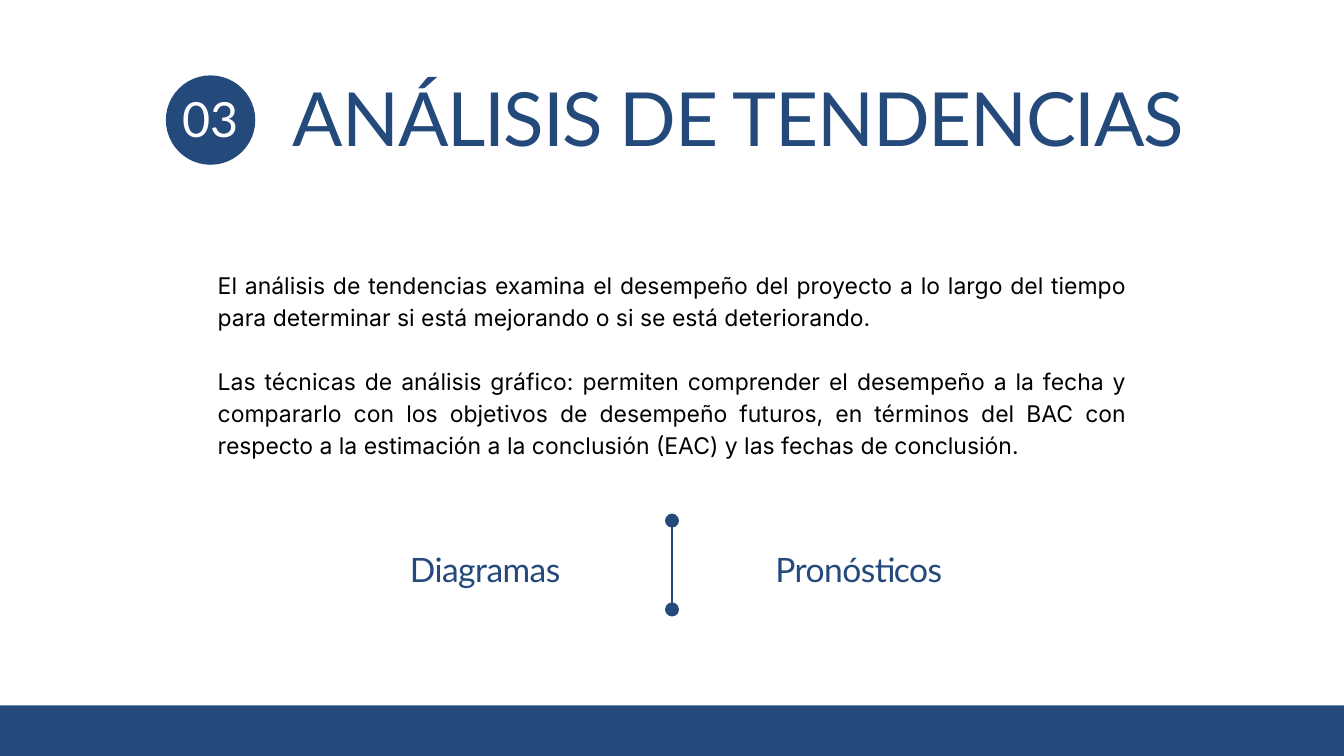
from lxml.etree import SubElement as Sub
from pptx import Presentation
from pptx.dml.color import RGBColor
from pptx.enum.shapes import MSO_CONNECTOR as Link, MSO_SHAPE as Form
from pptx.enum.text import MSO_ANCHOR as Anchor, MSO_AUTO_SIZE as Fit, PP_ALIGN as Align
from pptx.oxml.ns import qn
from pptx.util import Cm, Pt

BLUE, WHITE, BLACK = "24497B", "FFFFFF", "000000"
WIDE, HIGH = 50.8, 28.58
BODY = [
    "El análisis de tendencias examina el desempeño del proyecto a lo largo del tiempo "
    "para determinar si está mejorando o si se está deteriorando.",
    "Las técnicas de análisis gráfico: permiten comprender el desempeño a la fecha y "
    "compararlo con los objetivos de desempeño futuros, en términos del BAC con respecto "
    "a la estimación a la conclusión (EAC) y las fechas de conclusión.",
]


def paint(color, tone):
    color.rgb = RGBColor.from_string(tone)


def place(shape, left, top, width, height):
    shape.left, shape.top = Cm(left), Cm(top)
    shape.width, shape.height = Cm(width), Cm(height)


def write(shape, lines, size, tone, font="Lato", align=Align.CENTER, lead=None, gap=0, track=0):
    """Fill a shape with paragraphs; lead, gap and track are in points."""
    frame = shape.text_frame
    frame.word_wrap, frame.auto_size = True, Fit.NONE
    frame.vertical_anchor = Anchor.TOP
    frame.margin_left = frame.margin_right = frame.margin_top = frame.margin_bottom = 0
    frame.text = "\n".join(lines)
    for i, par in enumerate(frame.paragraphs):
        props = par._p.get_or_add_pPr()
        props.set("marL", "0")
        props.set("indent", "0")
        par.alignment, par.line_spacing = align, Pt(lead or size)
        par.space_before, par.space_after = Pt(gap if i else 0), Pt(0)
        Sub(props, qn("a:buNone"))
        for run in par.runs:
            run.font.name, run.font.size = font, Pt(size)
            paint(run.font.color, tone)
            if track:
                run._r.get_or_add_rPr().set("spc", str(round(track * 100)))


def add_form(slide, kind, *area):
    shape = slide.shapes.add_shape(kind, *map(Cm, area))
    shape.shadow.inherit = False
    shape.fill.solid()
    paint(shape.fill.fore_color, BLUE)
    shape.line.fill.background()
    return shape


def add_badge(slide, text):
    badge = add_form(slide, Form.OVAL, 6.27, 2.85, 3.38, 3.38)
    write(badge, [text], 51.9, WHITE, track=-0.9)
    frame = badge.text_frame
    frame.word_wrap, frame.vertical_anchor = False, Anchor.MIDDLE
    frame.margin_top = Cm(0.25)


def add_label(slide, text, left):
    box = slide.shapes.add_textbox(Cm(left), Cm(21), Cm(9.6), Cm(1.32))
    write(box, [text], 36, BLUE, track=-0.6)


def add_rule(slide, x, top, base):
    """Draw an upright line with a dot at each end."""
    rule = slide.shapes.add_connector(Link.STRAIGHT, Cm(x), Cm(base), Cm(x), Cm(top))
    rule.line.width = Pt(3)
    paint(rule.line.color, BLUE)
    for end in ("headEnd", "tailEnd"):
        Sub(rule.line._get_or_add_ln(), qn("a:" + end), type="oval", w="lg", len="lg")
    Sub(rule._element.spPr, qn("a:effectLst"))


def main():
    deck = Presentation()
    deck.slide_width, deck.slide_height = Cm(WIDE), Cm(HIGH)
    slide = deck.slides.add_slide(deck.slide_layouts[1])
    title, body = slide.placeholders

    place(title, 8.59, 3.28, 38.66, 2.95)
    write(title, ["ANÁLISIS DE TENDENCIAS"], 80, BLUE, track=-1.4)
    place(body, 8.23, 10.08, 34.34, 7.14)
    write(body, BODY, 24.6, BLACK, "Inter", Align.JUSTIFY, lead=34.4, gap=34.4)

    add_form(slide, Form.RECTANGLE, 0, 26.67, WIDE, HIGH - 26.67)
    add_badge(slide, "03")
    add_label(slide, "Diagramas", 13.54)
    add_label(slide, "Pronósticos", 27.66)
    add_rule(slide, WIDE / 2, 19.68, 23.04)
    deck.save("out.pptx")


if __name__ == "__main__":
    main()
